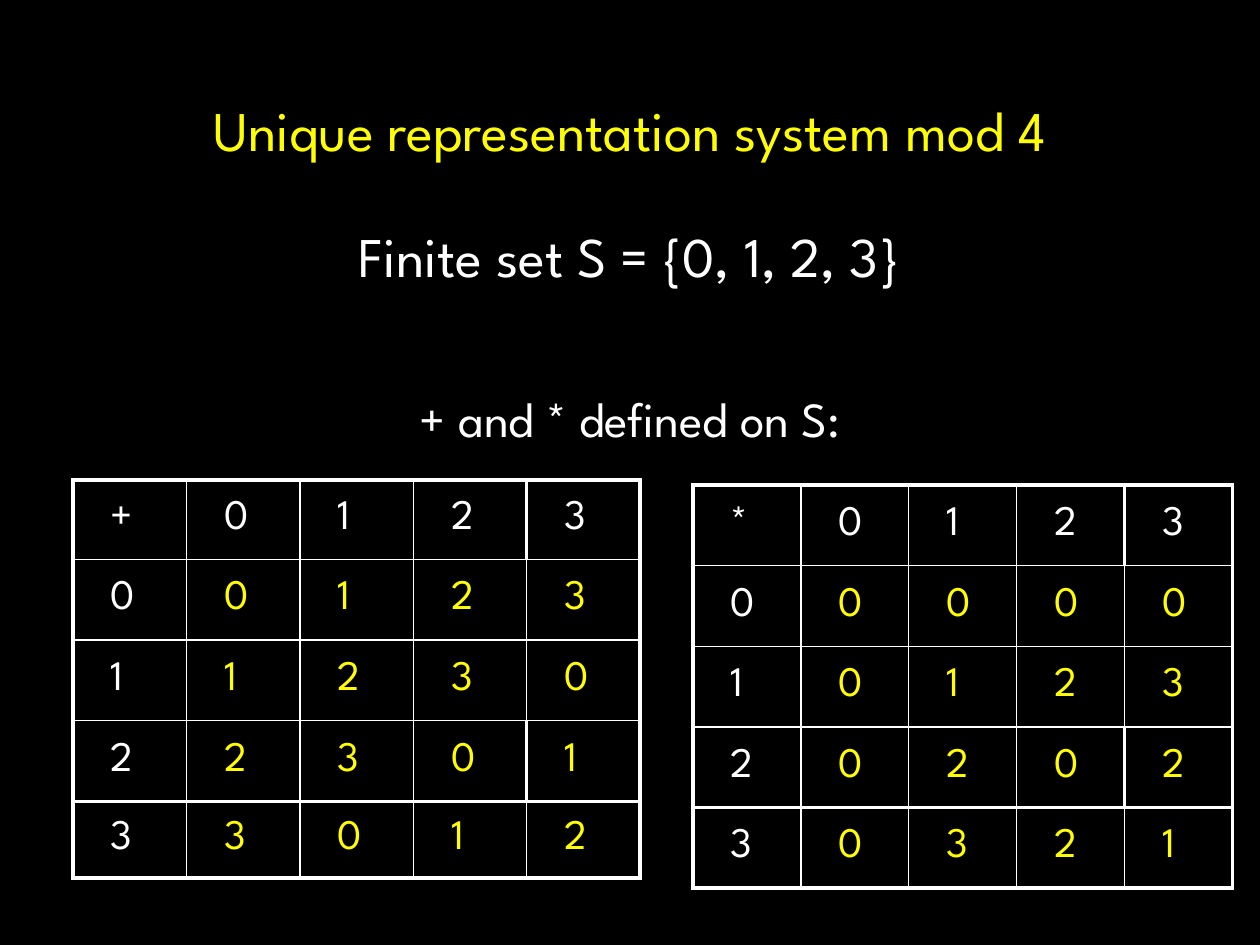
from dataclasses import dataclass

from lxml import etree
from pptx import Presentation
from pptx import util as u
from pptx.dml.color import RGBColor
from pptx.enum import text
from pptx.oxml import ns


@dataclass(frozen=True)
class Theme:
    font: str = "League Spartan"
    background: str = "000000"
    plain: str = "FFFFFF"
    accent: str = "FFFF00"
    heading_size: int = 32
    caption_size: int = 28
    cell_size: int = 24
    thin: float = 1
    thick: float = 2.25


THEME = Theme()
MODULUS = 4


def write(paragraph, content, *, size, color=THEME.plain, align=None,
          line_height=None, space_before=None):
    """Put formatted text into a paragraph."""
    run = paragraph.add_run()
    run.text = content
    run.font.name = THEME.font
    run.font.size = u.Pt(size)
    run.font.color.rgb = RGBColor.from_string(color)
    paragraph.alignment = align
    if line_height is not None:
        paragraph.line_spacing = u.Pt(line_height)
    if space_before is not None:
        paragraph.space_before = u.Pt(space_before)


def add_heading(slide):
    shape = slide.shapes.add_textbox(
        u.Inches(0.73), u.Inches(0.69), u.Inches(8.54), u.Inches(2.91))
    frame = shape.text_frame
    frame.word_wrap = True
    center = text.PP_ALIGN.CENTER
    write(frame.paragraphs[0], f"Unique representation system mod {MODULUS}",
          size=THEME.heading_size, color=THEME.accent, align=center,
          line_height=40)
    write(frame.add_paragraph(), "Finite set S = {0, 1, 2, 3}",
          size=THEME.heading_size, align=center,
          line_height=36, space_before=35.5)
    write(frame.add_paragraph(), "+ and * defined on S:",
          size=THEME.caption_size, align=center,
          line_height=31, space_before=60)


def set_borders(cell, widths):
    """Draw the cell's left, right, top and bottom lines."""
    properties = cell._tc.get_or_add_tcPr()
    for side, width in zip("LRTB", widths):
        line = etree.SubElement(properties, ns.qn(f"a:ln{side}"),
                                w=str(u.Pt(width)))
        fill = etree.SubElement(line, ns.qn("a:solidFill"))
        etree.SubElement(fill, ns.qn("a:srgbClr"), val=THEME.plain)


def border_widths(row, column):
    """Thick frame, thick line above the last row, and a partly thick
    line before the last column."""
    last = MODULUS

    def vertical(edge):
        thick = edge in (0, last + 1) or (edge == last and row in (0, last - 1))
        return THEME.thick if thick else THEME.thin

    def horizontal(edge):
        return THEME.thick if edge in (0, last, last + 1) else THEME.thin

    return (vertical(column), vertical(column + 1),
            horizontal(row), horizontal(row + 1))


def format_cell(cell, content, row, column):
    cell.margin_left = cell.margin_right = u.Inches(0.3)
    cell.margin_top = cell.margin_bottom = u.Inches(0.05)
    cell.vertical_anchor = text.MSO_ANCHOR.MIDDLE
    write(cell.text_frame.paragraphs[0], content, size=THEME.cell_size,
          color=THEME.accent if row and column else THEME.plain)
    set_borders(cell, border_widths(row, column))
    cell.fill.solid()
    cell.fill.fore_color.rgb = RGBColor.from_string(THEME.background)


def add_operation_table(slide, symbol, operation, left, top, width, row_heights):
    """Add the table of an operation on the residues."""
    residues = range(MODULUS)
    rows = [[symbol, *residues]]
    rows += [[a, *(operation(a, b) % MODULUS for b in residues)]
             for a in residues]
    count = len(rows)
    table = slide.shapes.add_table(
        count, count, u.Inches(left), u.Inches(top),
        u.Inches(width), u.Inches(sum(row_heights))).table
    table.first_row = table.horz_banding = False
    for column in table.columns:
        column.width = u.Inches(width / count)
    for table_row, height in zip(table.rows, row_heights):
        table_row.height = u.Inches(height)
    for row, values in enumerate(rows):
        for column, value in enumerate(values):
            format_cell(table.cell(row, column), str(value), row, column)


def main():
    presentation = Presentation()
    presentation.slide_width = u.Inches(10)
    presentation.slide_height = u.Inches(7.5)
    slide = presentation.slides.add_slide(presentation.slide_layouts[6])

    # Background
    background = slide.background.fill
    background.solid()
    background.fore_color.rgb = RGBColor.from_string(THEME.background)

    # Title and captions
    add_heading(slide)

    # Addition and multiplication tables
    add_operation_table(slide, "+", lambda a, b: a + b, 0.58, 3.81, 4.5,
                        [0.63, 0.64, 0.64, 0.64, 0.61])
    add_operation_table(slide, "*", lambda a, b: a * b, 5.5, 3.85, 4.28,
                        [0.64] * 5)

    presentation.save("out.pptx")


if __name__ == "__main__":
    main()
